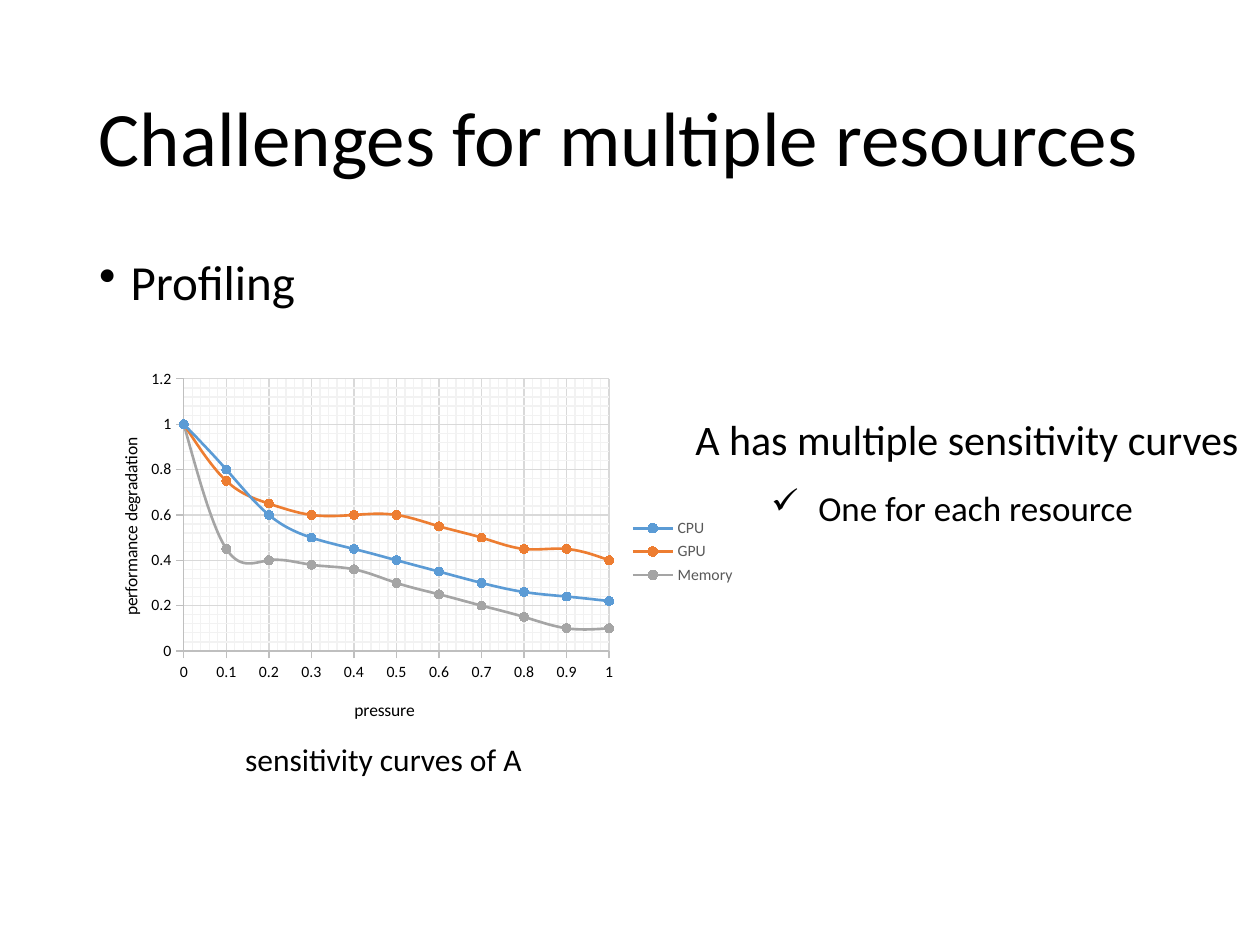
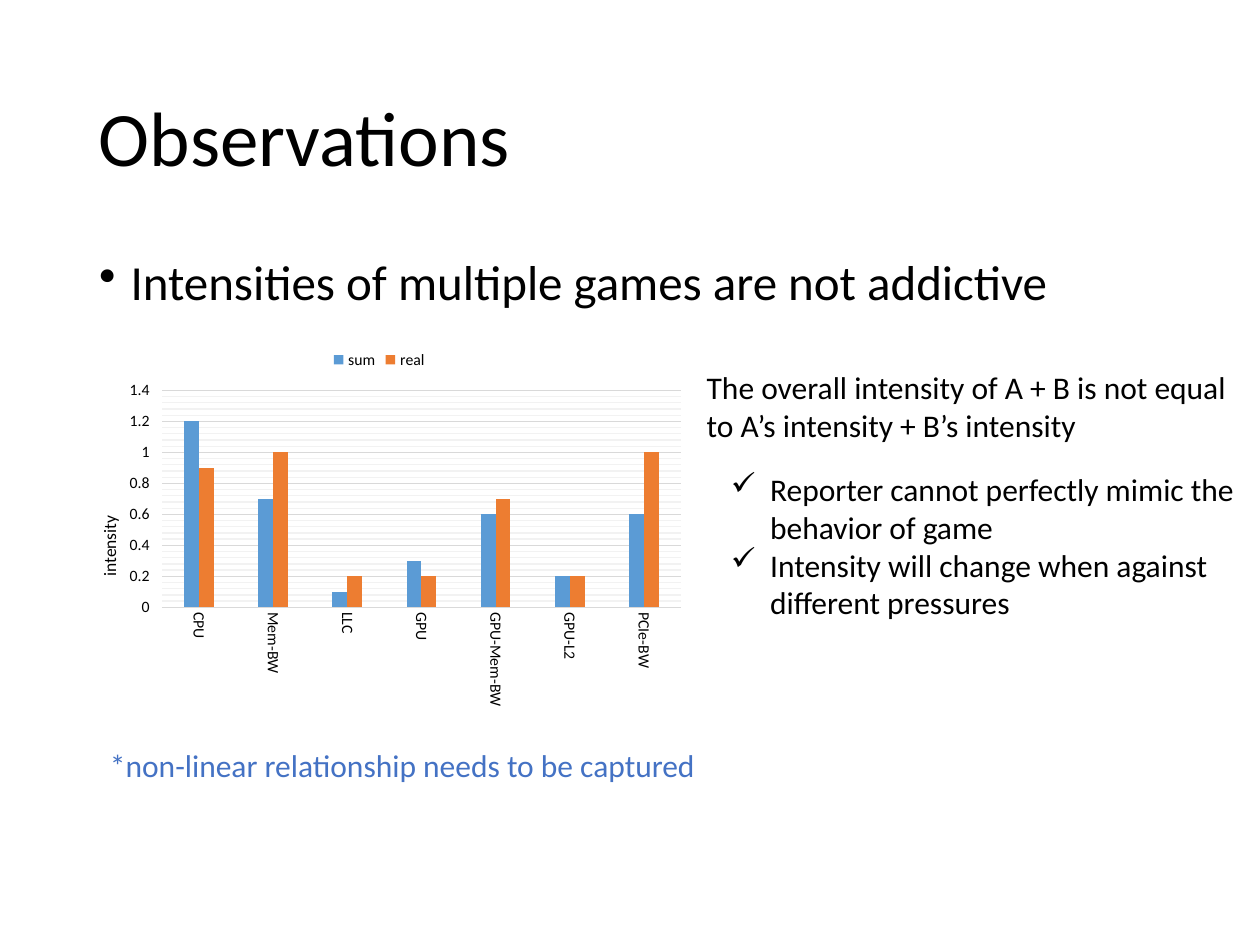
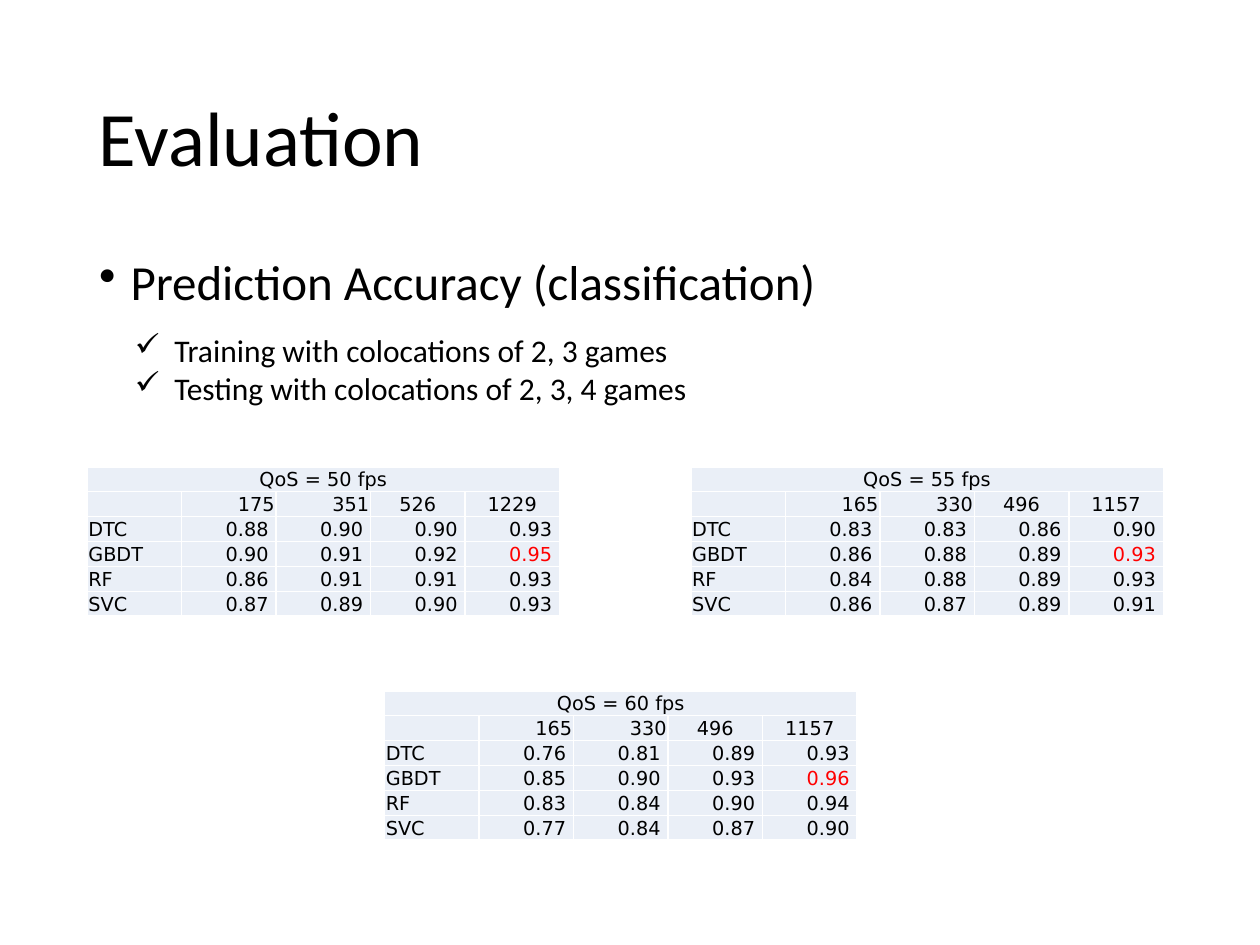
"""Build three slides on resource profiling, intensity and accuracy."""
from copy import deepcopy
from lxml import etree
from pptx import Presentation
from pptx.chart.data import CategoryChartData, XyChartData
from pptx.dml.color import RGBColor
from pptx.enum.chart import (XL_CHART_TYPE, XL_LEGEND_POSITION,
                             XL_MARKER_STYLE, XL_TICK_MARK)
from pptx.enum.text import MSO_ANCHOR, PP_ALIGN
from pptx.oxml.ns import qn
from pptx.util import Pt

LEFT, MID, RIGHT = PP_ALIGN.LEFT, PP_ALIGN.CENTER, PP_ALIGN.RIGHT
TOP, CENTER = MSO_ANCHOR.TOP, MSO_ANCHOR.MIDDLE
SMOOTH, COLUMN = XL_CHART_TYPE.XY_SCATTER_SMOOTH, XL_CHART_TYPE.COLUMN_CLUSTERED
KEY_SIDE, KEY_TOP = XL_LEGEND_POSITION.RIGHT, XL_LEGEND_POSITION.TOP
DOT = XL_MARKER_STYLE.CIRCLE
OUT, NONE = XL_TICK_MARK.OUTSIDE, XL_TICK_MARK.NONE


class Theme:
    """Shared fonts, sizes and colours."""
    font, mono = "Calibri", "DejaVu Sans"
    title, head, lead, sub, body = 44, 28, 24, 20, 18
    cell, label, tick = 11, 10, 9
    ink, note, alert, white = "000000", "4472C4", "FF0000", "FFFFFF"
    fill, gray = "EAEFF7", "595959"
    axis, grid, fine = "BFBFBF", "D9D9D9", "F2F2F2"
    series = "5B9BD5", "ED7D31", "A5A5A5"


SIZE = 720, 540
TITLE_BOX = 49.5, 28.75, 621, 104.5
HEAD_BOX = 49.5, 144, 666, 48
CURVE_BOX = 49.5, 207.25, 378, 216
BAR_BOX = 36.75, 192.25, 360, 216
COL, ROW = 54, 14.25
CHECK, BULLET = "✓", "•"

SLIDES = [
    {"title": "Challenges for multiple resources", "head": "Profiling",
     "texts": [
         ((390.25, 232.5, 340.5, 36), Theme.lead, Theme.ink, 0,
          ["A has multiple sensitivity curves"]),
         ((433.5, 274.5, 281.5, 31.5), Theme.sub, Theme.ink, 27,
          ["One for each resource"]),
         ((133, 419.25, 175, 29), Theme.body, Theme.ink, 0,
          ["sensitivity curves of A"])]},
    {"title": "Observations",
     "head": "Intensities of multiple games are not addictive",
     "texts": [
         ((55.75, 422.75, 409.5, 29), Theme.body, Theme.note, 0,
          ["*non-linear relationship needs to be captured"]),
         ((396.75, 206.75, 323.25, 51), Theme.body, Theme.ink, 0,
          ["The overall intensity of A + B is not equal to A’s intensity"
           " + B’s intensity"]),
         ((410.5, 265, 323.25, 94.5), Theme.body, Theme.ink, 22.5,
          ["Reporter cannot perfectly mimic the behavior of game",
           "Intensity will change when against different pressures"])]},
    {"title": "Evaluation", "head": "Prediction Accuracy (classification)",
     "texts": [
         ((70, 185.75, 471.5, 51), Theme.body, Theme.ink, 22.5,
          ["Training with colocations of 2, 3 games",
           "Testing with colocations of 2, 3, 4 games"])]},
]

CURVES = {
    "CPU": [1, 0.8, 0.6, 0.5, 0.45, 0.4, 0.35, 0.3, 0.26, 0.24, 0.22],
    "GPU": [1, 0.75, 0.65, 0.6, 0.6, 0.6, 0.55, 0.5, 0.45, 0.45, 0.4],
    "Memory": [1, 0.45, 0.4, 0.38, 0.36, 0.3, 0.25, 0.2, 0.15, 0.1, 0.1],
}
PARTS = ["CPU", "Mem-BW", "LLC", "GPU", "GPU-Mem-BW", "GPU-L2", "PCIe-BW"]
BARS = {
    "sum": [1.2, 0.7, 0.1, 0.3, 0.6, 0.2, 0.6],
    "real": [0.9, 1, 0.2, 0.2, 0.7, 0.2, 1],
}
MODELS = ["DTC", "GBDT", "RF", "SVC"]
BEST = 3, 4
TABLES = [
    (49.75, 266.75, "QoS = 50 fps", ["175", "351", "526", "1229"],
     [["0.88", "0.90", "0.90", "0.93"], ["0.90", "0.91", "0.92", "0.95"],
      ["0.86", "0.91", "0.91", "0.93"], ["0.87", "0.89", "0.90", "0.93"]]),
    (394.75, 266.75, "QoS = 55 fps", ["165", "330", "496", "1157"],
     [["0.83", "0.83", "0.86", "0.90"], ["0.86", "0.88", "0.89", "0.93"],
      ["0.84", "0.88", "0.89", "0.93"], ["0.86", "0.87", "0.89", "0.91"]]),
    (219.75, 394.75, "QoS = 60 fps", ["165", "330", "496", "1157"],
     [["0.76", "0.81", "0.89", "0.93"], ["0.85", "0.90", "0.93", "0.96"],
      ["0.83", "0.84", "0.90", "0.94"], ["0.77", "0.84", "0.87", "0.90"]]),
]


def pts(box):
    return [Pt(n) for n in box]


def rgb(tint):
    return RGBColor.from_string(tint)


def style(font, size, tint=Theme.ink, name=Theme.font):
    font.size, font.name, font.bold = Pt(size), name, False
    font.color.rgb = rgb(tint)


def add_text(slide, box, size, tint, hang, lines, mark=CHECK,
             gap=None, anchor=TOP):
    frame = slide.shapes.add_textbox(*pts(box)).text_frame
    frame.word_wrap, frame.vertical_anchor = True, anchor
    for i, line in enumerate(lines):
        para = frame.add_paragraph() if i else frame.paragraphs[0]
        para.text = line
        if gap:
            para.line_spacing = gap
        if hang:
            props = para._p.get_or_add_pPr()
            props.set("marL", str(Pt(hang)))
            props.set("indent", str(-Pt(hang)))
            etree.SubElement(props, qn("a:buChar")).set("char", mark)
        style(para.font, size, tint)


def place(node, spot, **sides):
    old = node.find(qn("c:layout"))
    if old is not None:
        node.remove(old)
    outer = etree.Element(qn("c:layout"))
    inner = etree.SubElement(outer, qn("c:manualLayout"))
    if "w" in sides:
        etree.SubElement(inner, qn("c:layoutTarget")).set("val", "inner")
    for key in "xy":
        etree.SubElement(inner, qn(f"c:{key}Mode")).set("val", "edge")
    for key, val in sides.items():
        etree.SubElement(inner, qn(f"c:{key}")).set("val", str(val))
    node.insert(spot, outer)


def set_line(form, tint):
    form.line.color.rgb, form.line.width = rgb(tint), Pt(0.75)


def set_grid(axis):
    set_line(axis.major_gridlines.format, Theme.grid)
    major = axis._element.find(qn("c:majorGridlines"))
    minor = axis._element.find(qn("c:minorGridlines"))
    look = deepcopy(major.find(qn("c:spPr")))
    look.find(".//" + qn("a:srgbClr")).set("val", Theme.fine)
    minor.append(look)


def set_axis(axis, tint, tick=OUT, grid=True):
    axis.major_tick_mark, axis.minor_tick_mark = tick, NONE
    style(axis.tick_labels.font, Theme.tick)
    if tint:
        set_line(axis.format, tint)
    else:
        axis.format.line.fill.background()
    axis.has_major_gridlines = axis.has_minor_gridlines = grid
    if grid:
        axis.minimum_scale = 0
        set_grid(axis)


def name_axis(axis, text, x, y, turn=0):
    title = axis.axis_title
    title.text_frame.text = text
    style(title.text_frame.paragraphs[0].font, Theme.label)
    node = title._element
    node.find(".//" + qn("a:bodyPr")).set("rot", str(turn * 60000))
    place(node, 1, x=x, y=y)


def add_chart(slide, kind, box, data, side, tint, plot):
    chart = slide.shapes.add_chart(kind, *pts(box), data).chart
    style(chart.font, Theme.label)
    chart.has_title, chart.has_legend = False, True
    chart.legend.position = side
    chart.legend.include_in_layout = False
    style(chart.legend.font, Theme.tick, tint)
    chart.plots[0].vary_by_categories = False
    place(chart._chartSpace.find(".//" + qn("c:plotArea")), 0, **plot)
    return chart


def add_curves(slide):
    data = XyChartData()
    for name, vals in CURVES.items():
        row = data.add_series(name)
        for i, val in enumerate(vals):
            row.add_data_point(i / 10, val)
    chart = add_chart(slide, SMOOTH, CURVE_BOX, data, KEY_SIDE, Theme.gray,
                      dict(x=0.147, y=0.043, w=0.643, h=0.72))
    for row, tint in zip(chart.plots[0].series, Theme.series):
        row.format.line.color.rgb, row.format.line.width = rgb(tint), Pt(1.5)
        row._element.find(qn("c:smooth")).set("val", "1")
        dot = row.marker
        dot.style, dot.size = DOT, 5
        dot.format.fill.solid()
        dot.format.fill.fore_color.rgb = rgb(tint)
        dot.format.line.color.rgb = rgb(tint)
    across, up = chart.category_axis, chart.value_axis
    set_axis(across, Theme.axis)
    set_axis(up, Theme.axis)
    across.maximum_scale, across.major_unit = 1, 0.1
    up.maximum_scale, up.major_unit = 1.2, 0.2
    name_axis(across, "pressure", 0.4, 0.88)
    name_axis(up, "performance degradation", 0.045, 0.19, -90)


def add_bars(slide):
    data = CategoryChartData()
    data.categories = PARTS
    for name, vals in BARS.items():
        data.add_series(name, vals)
    chart = add_chart(slide, COLUMN, BAR_BOX, data, KEY_TOP, Theme.ink,
                      dict(x=0.155, y=0.143, w=0.824, h=0.574))
    plot = chart.plots[0]
    plot.gap_width, plot.overlap = 300, 0
    for row, tint in zip(plot.series, Theme.series):
        row.format.fill.solid()
        row.format.fill.fore_color.rgb = rgb(tint)
    across, up = chart.category_axis, chart.value_axis
    set_axis(across, Theme.grid, NONE, False)
    across._element.find(".//" + qn("a:bodyPr")).set("rot", "5400000")
    set_axis(up, None)
    up.maximum_scale, up.major_unit = 1.4, 0.2
    name_axis(up, "intensity", 0.049, 0.467, -90)


def set_cell(cell, text, align, tint, pad):
    cell.margin_left = cell.margin_top = Pt(0.75)
    cell.margin_right, cell.margin_bottom = Pt(pad), 0
    cell.vertical_anchor = CENTER
    props = cell._tc.get_or_add_tcPr()
    for side in "LRTB":
        line = etree.SubElement(props, qn(f"a:ln{side}"), w=str(Pt(1)))
        fill = etree.SubElement(line, qn("a:solidFill"))
        etree.SubElement(fill, qn("a:srgbClr"), val=Theme.white)
    cell.fill.solid()
    cell.fill.fore_color.rgb = rgb(Theme.fill)
    para = cell.text_frame.paragraphs[0]
    if text:
        para.text = text
    para.alignment = align
    style(para.font, Theme.cell, tint, Theme.mono)
    para._p.get_or_add_endParaRPr().set("sz", str(Theme.cell * 100))


def add_scores(slide, x, y, name, counts, scores):
    rows = [[name, "", "", "", ""], ["", *counts]]
    rows += [[model, *vals] for model, vals in zip(MODELS, scores)]
    tall, wide = len(rows), len(rows[0])
    box = x, y, wide * COL, tall * ROW
    table = slide.shapes.add_table(tall, wide, *pts(box)).table
    table.first_row = table.horz_banding = False
    for col in table.columns:
        col.width = Pt(COL)
    for r, row in enumerate(rows):
        table.rows[r].height = Pt(ROW)
        for c, text in enumerate(row):
            align = RIGHT if c else LEFT
            if r == 0 or r == 1 and c > 2:
                align = MID
            tint = Theme.alert if (r, c) == BEST else Theme.ink
            pad = 4.25 if r > 1 and c else 0.75
            set_cell(table.cell(r, c), text, align, tint, pad)
    table.cell(0, 0).merge(table.cell(0, wide - 1))


def add_tables(slide):
    for item in TABLES:
        add_scores(slide, *item)


def main():
    deck = Presentation()
    deck.slide_width, deck.slide_height = pts(SIZE)
    for page, draw in zip(SLIDES, (add_curves, add_bars, add_tables)):
        slide = deck.slides.add_slide(deck.slide_layouts[6])
        add_text(slide, TITLE_BOX, Theme.title, Theme.ink, 0,
                 [page["title"]], gap=0.9, anchor=CENTER)
        add_text(slide, HEAD_BOX, Theme.head, Theme.ink, 18,
                 [page["head"]], BULLET, 0.9)
        for item in page["texts"]:
            add_text(slide, *item)
        draw(slide)
    deck.save("out.pptx")


if __name__ == "__main__":
    main()
